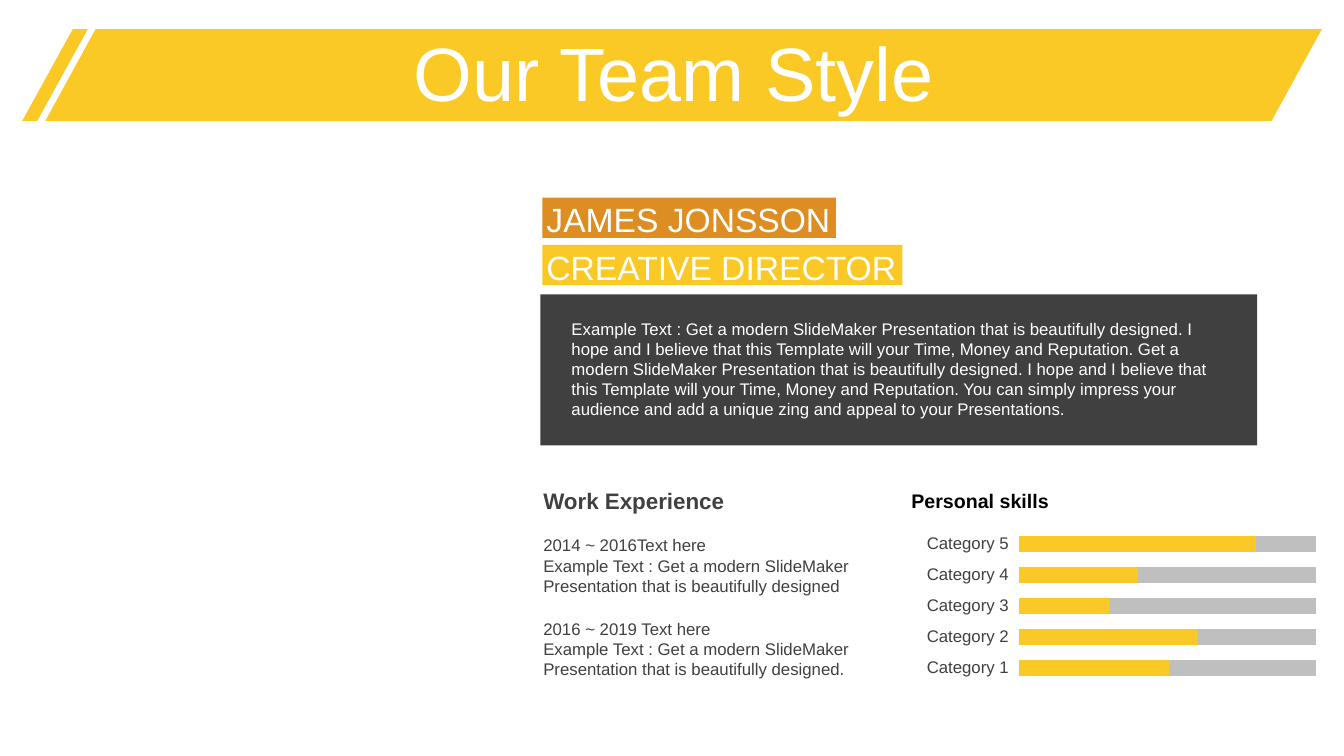
from lxml import etree
from pptx import Presentation
from pptx.chart import data
from pptx.dml import color
from pptx.enum import chart as ch, shapes, text
from pptx.oxml import ns
from pptx.util import Inches, Pt

YELLOW, ORANGE, DARK, GREY = "FAC926", "DE8D22", "404040", "BFBFBF"
WHITE, BLACK = "FFFFFF", "000000"
PITCH = "Get a modern SlideMaker Presentation that is beautifully designed"
HOPE = ("I hope and I believe that this Template will your Time, "
        "Money and Reputation.")
PROFILE = (f"Example Text : {PITCH}. {HOPE} {PITCH}. {HOPE} You can simply "
           "impress your audience and add a unique zing and appeal to your "
           "Presentations.")
JOBS = [
    ("2014 ~ 2016Text here", f"Example Text : {PITCH}"),
    ("2016 ~ 2019 Text here", f"Example Text : {PITCH}."),
]
SKILLS = [63, 75, 38, 50, 100]
FULL_SKILL = 125


def rgb(value):
    return color.RGBColor.from_string(value)


class TeamSlide:
    font = "Arial"

    def __init__(self, prs):
        self.s = prs.slides.add_slide(prs.slide_layouts[6])

    def style(self, font, size, fill, bold=False):
        font.name, font.size, font.bold = self.font, Pt(size), bold
        font.color.rgb = rgb(fill)

    def shape(self, kind, box, fill, adj=None):
        sp = self.s.shapes.add_shape(kind, *map(Inches, box))
        sp.shadow.inherit = False
        sp.fill.solid()
        sp.fill.fore_color.rgb = rgb(fill)
        sp.line.fill.background()
        if adj is not None:
            sp.adjustments[0] = adj
        return sp

    def text(self, box, lines, size, fill, bold=False, middle=False,
             align=text.PP_ALIGN.LEFT, spacing=None):
        sp = self.s.shapes.add_textbox(*map(Inches, box))
        tf = sp.text_frame
        tf.word_wrap = True
        if middle:
            tf.vertical_anchor = text.MSO_ANCHOR.MIDDLE
        tf.text = "\n".join(lines)
        for p in tf.paragraphs:
            p.alignment = align
            p.line_spacing = spacing
            self.style(p.font, size, fill, bold)

    def label(self, box, words, fill):
        sp = self.shape(shapes.MSO_SHAPE.RECTANGLE, box, fill)
        tf = sp.text_frame
        tf.word_wrap = False
        tf.vertical_anchor = text.MSO_ANCHOR.TOP
        tf.margin_left = tf.margin_right = Inches(0.04)
        tf.margin_top = tf.margin_bottom = 0
        p = tf.paragraphs[0]
        p.text = words
        p.alignment = text.PP_ALIGN.LEFT
        p.line_spacing = Pt(30)
        self.style(p.font, 24, WHITE)

    def skill_chart(self, box, plot_box):
        cd = data.CategoryChartData()
        cd.categories = [f"Category {i}" for i in range(1, len(SKILLS) + 1)]
        cd.add_series("Series 1", SKILLS)
        cd.add_series("Series 2", [FULL_SKILL - v for v in SKILLS])
        chart = self.s.shapes.add_chart(
            ch.XL_CHART_TYPE.BAR_STACKED, *map(Inches, box), cd).chart
        chart.has_legend = chart.has_title = False
        self.style(chart.font, 18, BLACK)
        plot = chart.plots[0]
        plot.gap_width, plot.overlap, plot.vary_by_categories = 100, 100, False
        for series, fill in zip(plot.series, (YELLOW, GREY)):
            series.format.fill.solid()
            series.format.fill.fore_color.rgb = rgb(fill)
        axis = chart.category_axis
        axis.format.line.fill.background()
        self.style(axis.tick_labels.font, 12, DARK)
        axis = chart.value_axis
        axis.minimum_scale, axis.maximum_scale = 0, 150
        axis.has_major_gridlines = False
        axis.visible = False
        self.place_plot(chart, plot_box)

    def place_plot(self, chart, plot_box):
        area = chart.plots[0]._element.getparent()
        for old in area.findall(ns.qn("c:layout")):
            area.remove(old)
        layout = etree.Element(ns.qn("c:layout"))
        manual = etree.SubElement(layout, ns.qn("c:manualLayout"))
        settings = [("layoutTarget", "inner"), ("xMode", "edge"),
                    ("yMode", "edge"), *zip("xywh", plot_box)]
        for tag, value in settings:
            etree.SubElement(manual, ns.qn(f"c:{tag}")).set("val", str(value))
        area.insert(0, layout)


def main():
    prs = Presentation()
    prs.slide_width, prs.slide_height = Inches(13.33), Inches(7.5)
    team = TeamSlide(prs)

    slant = shapes.MSO_SHAPE.PARALLELOGRAM
    team.shape(slant, (0.45, 0.29, 12.66, 0.91), YELLOW, 0.547)
    team.shape(slant, (0.22, 0.29, 0.65, 0.91), YELLOW, 0.771)
    team.text((0.35, 0.37, 12.66, 0.79), ["Our Team Style"], 54, WHITE,
              middle=True, align=text.PP_ALIGN.CENTER, spacing=0.9)

    team.label((5.38, 1.96, 2.91, 0.4), "JAMES JONSSON", ORANGE)
    team.label((5.38, 2.43, 3.57, 0.4), "CREATIVE DIRECTOR", YELLOW)
    team.shape(shapes.MSO_SHAPE.RECTANGLE, (5.36, 2.92, 7.11, 1.5), DARK)
    team.text((5.57, 3.11, 6.54, 1.11), [PROFILE], 12, WHITE)

    team.text((5.29, 4.81, 2.76, 0.31), ["Work Experience"], 16, DARK,
              bold=True, middle=True)
    for i, job in enumerate(JOBS):
        team.text((5.29, 5.26 + 0.83 * i, 3.48, 0.71), job, 12, DARK)

    team.text((8.94, 4.8, 3.43, 0.34), ["Personal skills"], 14, BLACK,
              bold=True)
    team.skill_chart((8.94, 5.08, 4.7, 1.84), (0.248, 0.09, 0.752, 0.834))
    prs.save("out.pptx")


if __name__ == "__main__":
    main()
